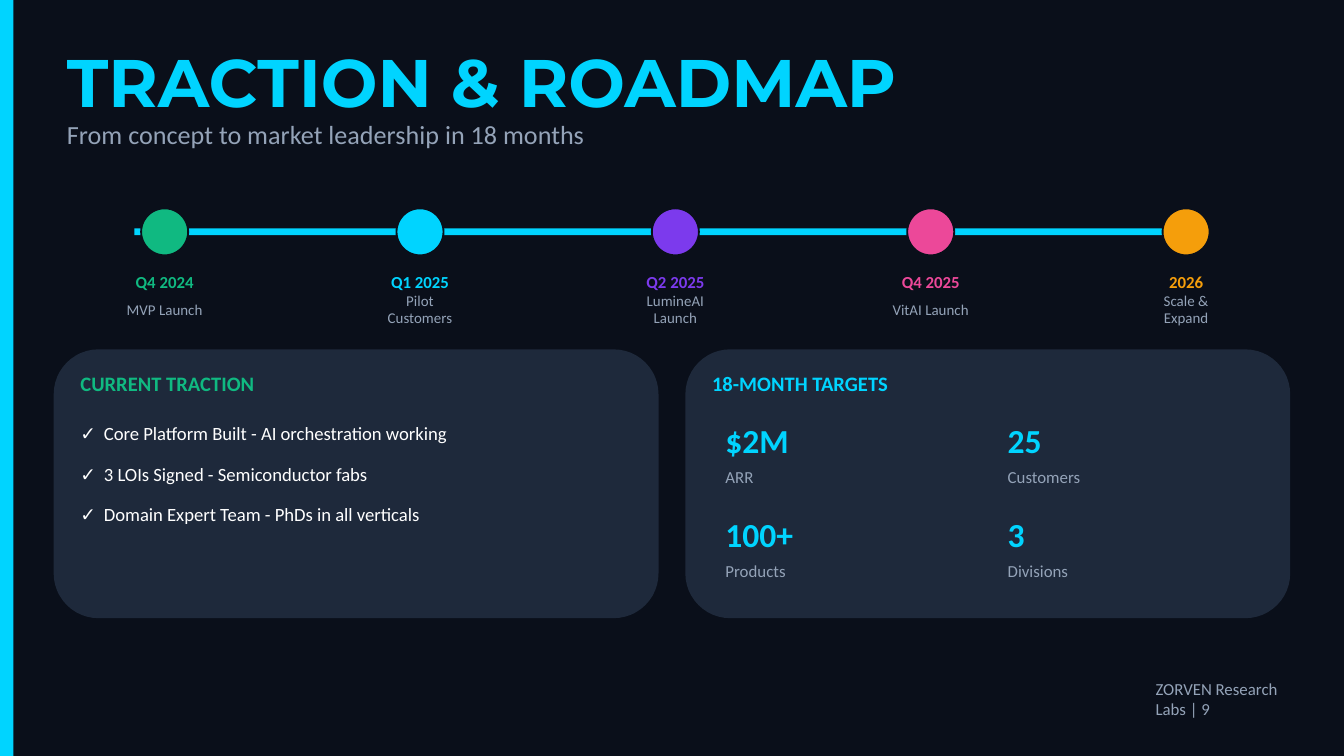
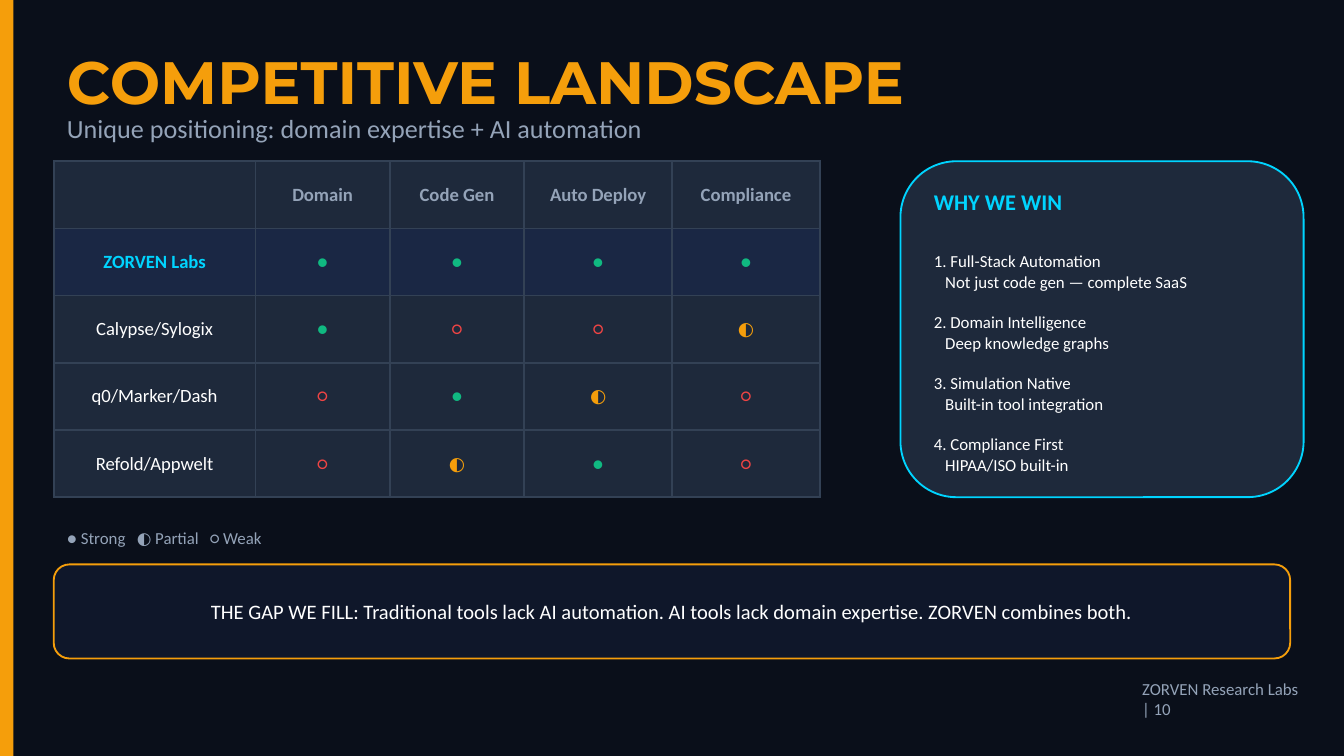
from dataclasses import dataclass, replace
from typing import Optional

from lxml.etree import SubElement
from pptx import Presentation
from pptx.dml.color import RGBColor
from pptx.enum.shapes import MSO_SHAPE
from pptx.enum.text import MSO_ANCHOR, PP_ALIGN
from pptx.oxml.ns import qn
from pptx.slide import Slide
from pptx.text.text import _Paragraph as Para
from pptx.util import Emu, Pt

PX = 4572
WIDE, HIGH = 2000, 1125

NIGHT, PANEL, EDGE = "0A0F1A", "1E293B", "334155"
CYAN, AMBER, GREEN = "00D4FF", "F59E0B", "10B981"
VIOLET, PINK, RED = "7C3AED", "EC4899", "EF4444"
WHITE, GREY = "FFFFFF", "94A3B8"
OWN, NAVY = "1A2744", "0F172A"


@dataclass(frozen=True)
class Box:
    x: int
    y: int
    w: int
    h: int


@dataclass(frozen=True)
class Style:
    size: int
    hue: str
    bold: bool = False
    font: str = "Calibri"
    mid: bool = False


@dataclass(frozen=True)
class Stop:
    date: str
    goal: str
    hue: str


@dataclass(frozen=True)
class Target:
    value: str
    label: str


@dataclass(frozen=True)
class Reason:
    head: str
    note: str


@dataclass(frozen=True)
class Rival:
    name: str
    marks: str
    style: Style
    fill: str = PANEL


SMALL = Style(9, GREY)
BODY = Style(10, WHITE)

STOPS = [
    Stop("Q4 2024", "MVP Launch", GREEN),
    Stop("Q1 2025", "Pilot Customers", CYAN),
    Stop("Q2 2025", "LumineAI Launch", VIOLET),
    Stop("Q4 2025", "VitAI Launch", PINK),
    Stop("2026", "Scale & Expand", AMBER),
]
WINS = [
    "Core Platform Built - AI orchestration working",
    "3 LOIs Signed - Semiconductor fabs",
    "Domain Expert Team - PhDs in all verticals",
]
TARGETS = [
    Target("$2M", "ARR"),
    Target("25", "Customers"),
    Target("100+", "Products"),
    Target("3", "Divisions"),
]
HEADS = ["", "Domain", "Code Gen", "Auto Deploy", "Compliance"]
RIVALS = [
    Rival("ZORVEN Labs", "●●●●", Style(10, CYAN, True), OWN),
    Rival("Calypse/Sylogix", "●○○◐", BODY),
    Rival("q0/Marker/Dash", "○●◐○", BODY),
    Rival("Refold/Appwelt", "○◐●○", BODY),
]
MARKS = {"●": GREEN, "○": RED, "◐": AMBER}
REASONS = [
    Reason("Full-Stack Automation", "Not just code gen — complete SaaS"),
    Reason("Domain Intelligence", "Deep knowledge graphs"),
    Reason("Simulation Native", "Built-in tool integration"),
    Reason("Compliance First", "HIPAA/ISO built-in"),
]


def px(n: int) -> Emu:
    return Emu(n * PX)


def place(box: Box) -> tuple[Emu, Emu, Emu, Emu]:
    return px(box.x), px(box.y), px(box.w), px(box.h)


def color(code: str) -> RGBColor:
    return RGBColor.from_string(code)


def shape(slide: Slide, kind: MSO_SHAPE, box: Box, fill: str,
          edge: Optional[str] = None) -> None:
    item = slide.shapes.add_shape(kind, *place(box))
    item.shadow.inherit = False
    item.fill.solid()
    item.fill.fore_color.rgb = color(fill)
    if edge:
        item.line.color.rgb = color(edge)
        item.line.width = Pt(1)
    else:
        item.line.fill.background()


def write(para: Para, words: str, style: Style) -> None:
    if style.mid:
        para.alignment = PP_ALIGN.CENTER
    run = para.add_run()
    run.text = words
    run.font.name = style.font
    run.font.size = Pt(style.size)
    run.font.bold = style.bold
    run.font.color.rgb = color(style.hue)


def text(slide: Slide, box: Box, lines: list[str], style: Style) -> list[Para]:
    frame = slide.shapes.add_textbox(*place(box)).text_frame
    frame.word_wrap = True
    frame.vertical_anchor = MSO_ANCHOR.MIDDLE
    paras = []
    for i, line in enumerate(lines):
        para = frame.add_paragraph() if i else frame.paragraphs[0]
        write(para, line, style)
        paras.append(para)
    return paras


def indent(para: Para, left: int) -> None:
    props = para._p.get_or_add_pPr()
    props.set("marL", str(px(left)))
    props.set("indent", "0")


def tabs(para: Para, stops: list[int]) -> None:
    group = SubElement(para._p.get_or_add_pPr(), qn("a:tabLst"))
    for stop in stops:
        tab = SubElement(group, qn("a:tab"))
        tab.set("pos", str(px(stop)))
        tab.set("algn", "l")


def base(deck: Presentation, title: str, size: int, lead: str, top: int,
         hue: str, foot: Box, page: int) -> Slide:
    slide = deck.slides.add_slide(deck.slide_layouts[6])
    slide.background.fill.solid()
    slide.background.fill.fore_color.rgb = color(NIGHT)
    shape(slide, MSO_SHAPE.RECTANGLE, Box(0, 0, 20, HIGH), hue)
    text(slide, Box(80, 60, 1800, 120), [title],
         Style(size, hue, True, "Montserrat"))
    text(slide, Box(80, top, 1800, 60), [lead], Style(14, GREY))
    text(slide, foot, [f"ZORVEN Research Labs | {page}"], SMALL)
    return slide


def roadmap(deck: Presentation) -> None:
    slide = base(deck, "TRACTION & ROADMAP", 36,
                 "From concept to market leadership in 18 months", 170,
                 CYAN, Box(1700, 1020, 260, 40), 9)
    shape(slide, MSO_SHAPE.RECTANGLE, Box(200, 340, 1600, 10), CYAN)
    for i, stop in enumerate(STOPS):
        x = 160 + 380 * i
        shape(slide, MSO_SHAPE.OVAL, Box(x + 50, 310, 70, 70), stop.hue, NIGHT)
        text(slide, Box(x, 400, 170, 40), [stop.date],
             Style(9, stop.hue, True, mid=True))
        text(slide, Box(x, 440, 170, 40), [stop.goal],
             Style(8, GREY, mid=True))

    panels = [("CURRENT TRACTION", GREEN), ("18-MONTH TARGETS", CYAN)]
    for i, (head, hue) in enumerate(panels):
        x = 80 + 940 * i
        shape(slide, MSO_SHAPE.ROUNDED_RECTANGLE, Box(x, 520, 900, 400), PANEL)
        text(slide, Box(x + 20, 540, 860, 60), [head], Style(11, hue, True))

    for i, win in enumerate(WINS):
        box = Box(100, 620 + 60 * i, 860, 50)
        tabs(text(slide, box, [f"✓\t{win}"], BODY)[0], [35])
    for i, target in enumerate(TARGETS):
        row, col = divmod(i, 2)
        x, y = 1060 + 420 * col, 620 + 140 * row
        text(slide, Box(x, y, 300, 70), [target.value], Style(18, CYAN, True))
        text(slide, Box(x, y + 70, 300, 40), [target.label], SMALL)


def fill_cell(cell, words: str, style: Style, fill: str) -> None:
    props = cell._tc.get_or_add_tcPr()
    for side in ("lnL", "lnR", "lnT", "lnB"):
        line = SubElement(props, qn(f"a:{side}"))
        line.set("w", str(Pt(1)))
        solid = SubElement(line, qn("a:solidFill"))
        SubElement(solid, qn("a:srgbClr")).set("val", EDGE)
    cell.fill.solid()
    cell.fill.fore_color.rgb = color(fill)
    cell.vertical_anchor = MSO_ANCHOR.MIDDLE
    if words:
        write(cell.text_frame.paragraphs[0], words, replace(style, mid=True))


def matrix(slide: Slide) -> None:
    box = Box(80, 240, 1200, 500)
    grid = slide.shapes.add_table(len(RIVALS) + 1, len(HEADS),
                                  *place(box)).table
    grid.first_row = grid.horz_banding = False
    for col, wide in zip(grid.columns, (300, 200, 200, 220, 220)):
        col.width = px(wide)
    for row in grid.rows:
        row.height = px(100)
    for c, head in enumerate(HEADS):
        fill_cell(grid.cell(0, c), head, Style(10, GREY, True), PANEL)
    for r, rival in enumerate(RIVALS, 1):
        fill_cell(grid.cell(r, 0), rival.name, rival.style, rival.fill)
        for c, mark in enumerate(rival.marks, 1):
            fill_cell(grid.cell(r, c), mark, Style(10, MARKS[mark]), rival.fill)


def rivals(deck: Presentation) -> None:
    slide = base(deck, "COMPETITIVE LANDSCAPE", 32,
                 "Unique positioning: domain expertise + AI automation", 160,
                 AMBER, Box(1680, 1020, 280, 40), 10)
    matrix(slide)
    shape(slide, MSO_SHAPE.ROUNDED_RECTANGLE, Box(1340, 240, 600, 500),
          PANEL, CYAN)
    text(slide, Box(1370, 270, 540, 60), ["WHY WE WIN"],
         Style(12, CYAN, True))
    lines = []
    for i, item in enumerate(REASONS, 1):
        lines += [f"{i}. {item.head}", item.note]
    paras = text(slide, Box(1370, 340, 540, 400), lines, Style(9, WHITE))
    for para in paras[1::2]:
        indent(para, 17)
    for para in paras[2::2]:
        para.space_before = Pt(11)

    key = text(slide, Box(80, 780, 800, 40),
               ["● Strong\t◐ Partial\t○ Weak"], SMALL)
    tabs(key[0], [104, 213])
    shape(slide, MSO_SHAPE.ROUNDED_RECTANGLE, Box(80, 840, 1840, 140),
          NAVY, AMBER)
    text(slide, Box(100, 870, 1800, 80),
         ["THE GAP WE FILL: Traditional tools lack AI automation. "
          "AI tools lack domain expertise. ZORVEN combines both."],
         Style(11, WHITE, mid=True))


def main() -> None:
    deck = Presentation()
    deck.slide_width, deck.slide_height = px(WIDE), px(HIGH)
    roadmap(deck)
    rivals(deck)
    deck.save("out.pptx")


if __name__ == "__main__":
    main()
